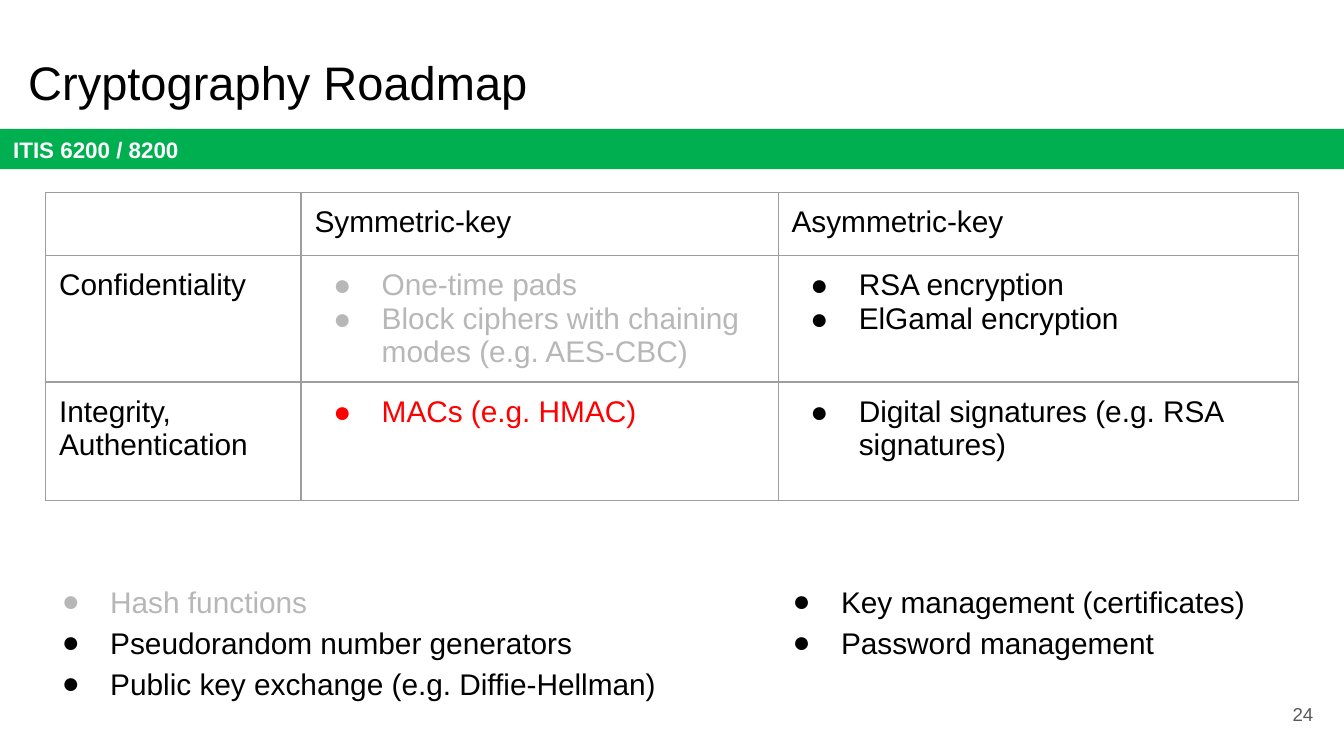
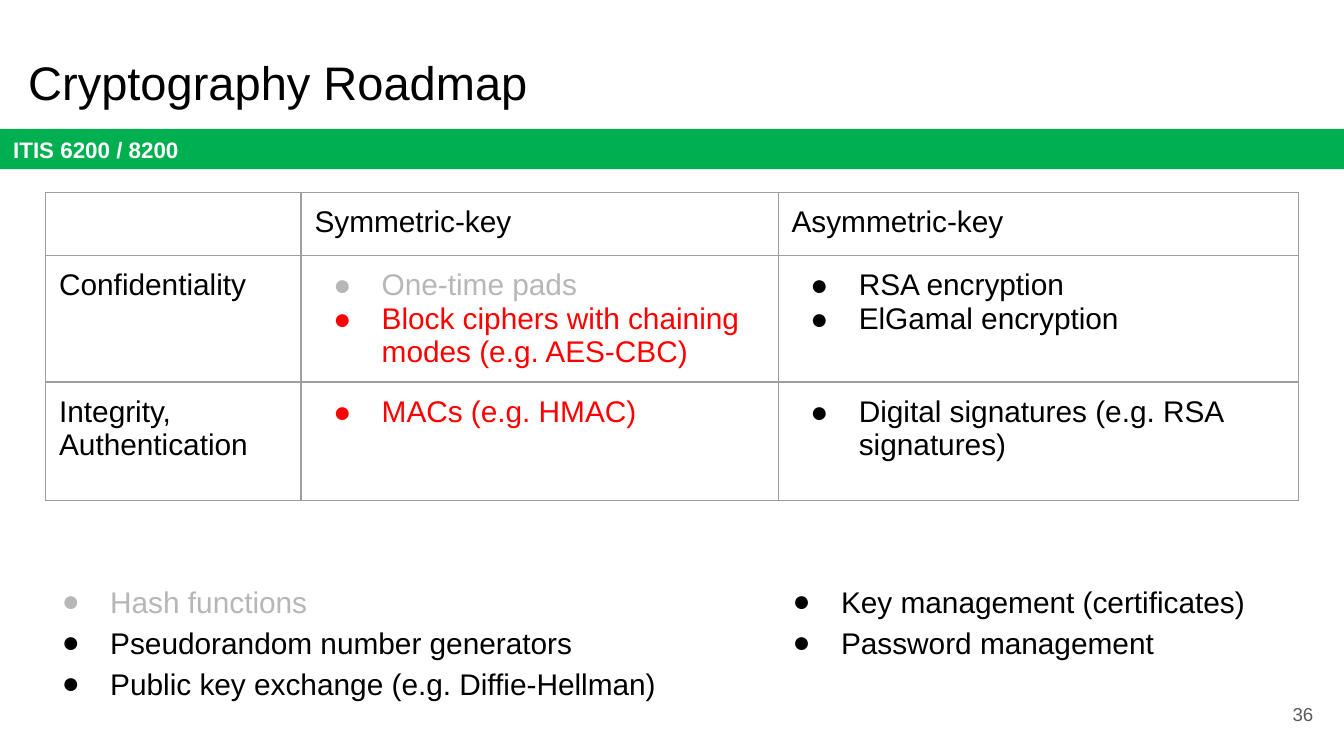
from lxml.etree import SubElement
from pptx import Presentation
from pptx.dml.color import RGBColor
from pptx.enum.shapes import MSO_SHAPE as Shape
from pptx.enum.text import MSO_ANCHOR as Anchor, MSO_AUTO_SIZE as AutoSize, PP_ALIGN as Align
from pptx.oxml.ns import qn
from pptx.util import Inches, Pt

BLACK = RGBColor(0x00, 0x00, 0x00)
WHITE = RGBColor(0xFF, 0xFF, 0xFF)
GREEN = RGBColor(0x00, 0xB0, 0x50)
RED = RGBColor(0xFF, 0x00, 0x00)
DONE_GRAY = RGBColor(0xB7, 0xB7, 0xB7)
NUMBER_GRAY = RGBColor(0x59, 0x59, 0x59)
BORDER_GRAY = RGBColor(0x9E, 0x9E, 0x9E)
FONT = "Arial"
INSET = Inches(0.1)
SLIDE_WIDTH = Inches(10)
SLIDE_HEIGHT = SLIDE_WIDTH * 9 // 16

TITLE = "Cryptography Roadmap"
COURSE = "ITIS 6200 / 8200"
HEADERS = ["", "Symmetric-key", "Asymmetric-key"]
ROWS = [
    ("Confidentiality",
     ["One-time pads", "Block ciphers with chaining modes (e.g. AES-CBC)"],
     ["RSA encryption", "ElGamal encryption"]),
    ("Integrity,\vAuthentication",
     ["MACs (e.g. HMAC)"],
     ["Digital signatures (e.g. RSA signatures)"]),
]
PRIMITIVES = ["Hash functions", "Pseudorandom number generators",
              "Public key exchange (e.g. Diffie-Hellman)"]
MANAGEMENT = ["Key management (certificates)", "Password management"]
COLUMN_WIDTHS = [1.9, 3.55, 3.87]
ROW_HEIGHTS = [0.45, 0.94, 0.88]

BLOCK_CIPHERS = ROWS[0][1][1]
COVERED = {"One-time pads": DONE_GRAY, "Hash functions": DONE_GRAY, "MACs (e.g. HMAC)": RED}
SLIDES = [
    ("24", COVERED | {BLOCK_CIPHERS: DONE_GRAY}),
    ("36", COVERED | {BLOCK_CIPHERS: RED}),
]


def set_frame(frame, anchor=Anchor.TOP):
    frame.word_wrap = True
    frame.auto_size = AutoSize.NONE
    frame.vertical_anchor = anchor
    frame.margin_left = frame.margin_right = INSET
    frame.margin_top = frame.margin_bottom = INSET


def place(shape, left, top, width, height):
    shape.left, shape.top = Inches(left), Inches(top)
    shape.width, shape.height = Inches(width), Inches(height)


def write(paragraph, text, size=16, color=BLACK, bold=False, align=Align.LEFT):
    paragraph.alignment = align
    paragraph.space_before = paragraph.space_after = Pt(0)
    for index, line in enumerate(text.split("\v")):
        if index:
            paragraph.add_line_break()
        run = paragraph.add_run()
        run.text = line
        run.font.name = FONT
        run.font.size = Pt(size)
        run.font.bold = bold
        run.font.color.rgb = color


def add_bullet(paragraph, color):
    properties = paragraph._p.get_or_add_pPr()
    properties.set("marL", str(Inches(0.5)))
    properties.set("indent", str(Inches(-0.36)))
    bullet_color = SubElement(properties, qn("a:buClr"))
    SubElement(bullet_color, qn("a:srgbClr"), val=str(color))
    SubElement(properties, qn("a:buSzPts"), val="1600")
    SubElement(properties, qn("a:buFont"), typeface=FONT)
    SubElement(properties, qn("a:buChar"), char="●")


def write_bullets(frame, items, colors, line_spacing=None):
    for index, item in enumerate(items):
        paragraph = frame.add_paragraph() if index else frame.paragraphs[0]
        color = colors.get(item, BLACK)
        add_bullet(paragraph, color)
        write(paragraph, item, color=color)
        paragraph.line_spacing = line_spacing


def add_text_box(slide, left, top, width, height, anchor=Anchor.TOP):
    box = slide.shapes.add_textbox(*map(Inches, (left, top, width, height)))
    set_frame(box.text_frame, anchor)
    return box.text_frame


def add_band(slide):
    band = slide.shapes.add_shape(Shape.RECTANGLE, 0, Inches(0.96), SLIDE_WIDTH, Inches(0.3))
    band.shadow.inherit = False
    band.fill.solid()
    band.fill.fore_color.rgb = GREEN
    band.line.fill.background()
    set_frame(band.text_frame, Anchor.MIDDLE)
    write(band.text_frame.paragraphs[0], COURSE, size=12, color=WHITE, bold=True)


def set_borders(cell):
    properties = cell._tc.get_or_add_tcPr()
    for index, side in enumerate(("lnL", "lnR", "lnT", "lnB")):
        line = properties.makeelement(qn(f"a:{side}"), {"w": str(Pt(0.75))})
        fill = SubElement(line, qn("a:solidFill"))
        SubElement(fill, qn("a:srgbClr"), val=str(BORDER_GRAY))
        properties.insert(index, line)


def fill_cell(cell, content, colors):
    cell.fill.background()
    cell.margin_left = cell.margin_right = INSET
    cell.margin_top = cell.margin_bottom = INSET
    set_borders(cell)
    paragraph = cell.text_frame.paragraphs[0]
    if isinstance(content, list):
        write_bullets(cell.text_frame, content, colors)
    elif content:
        write(paragraph, content)
    else:
        SubElement(paragraph._p, qn("a:endParaRPr"), sz="1600")


def add_roadmap_table(slide, colors):
    cells = [HEADERS, *ROWS]
    frame = slide.shapes.add_table(len(cells), len(HEADERS), Inches(0.34), Inches(1.43),
                                   Inches(sum(COLUMN_WIDTHS)), Inches(sum(ROW_HEIGHTS)))
    table = frame.table
    table.first_row = table.horz_banding = False
    for column, width in zip(table.columns, COLUMN_WIDTHS):
        column.width = Inches(width)
    for row, height, contents in zip(table.rows, ROW_HEIGHTS, cells):
        row.height = Inches(height)
        for cell, content in zip(row.cells, contents):
            fill_cell(cell, content, colors)


def add_roadmap_slide(presentation, number, colors):
    slide = presentation.slides.add_slide(presentation.slide_layouts[1])
    add_band(slide)

    title, body = slide.shapes.title, slide.placeholders[1]
    place(title, 0.11, 0.3, 9.32, 0.63)
    set_frame(title.text_frame)
    write(title.text_frame.paragraphs[0], TITLE, size=25.2)

    add_roadmap_table(slide, colors)

    place(body, 0.22, 4.2, 4.78, 1.28)
    set_frame(body.text_frame)
    write_bullets(body.text_frame, PRIMITIVES, colors, 1.15)
    management = add_text_box(slide, 5.66, 4.2, 3.77, 0.78)
    write_bullets(management, MANAGEMENT, colors, 1.15)

    number_frame = add_text_box(slide, 9.27, 5.1, 0.6, 0.43, Anchor.MIDDLE)
    write(number_frame.paragraphs[0], number, size=10, color=NUMBER_GRAY, align=Align.RIGHT)


def main():
    presentation = Presentation()
    presentation.slide_width, presentation.slide_height = SLIDE_WIDTH, SLIDE_HEIGHT
    for number, colors in SLIDES:
        add_roadmap_slide(presentation, number, colors)
    presentation.save("out.pptx")


if __name__ == "__main__":
    main()
